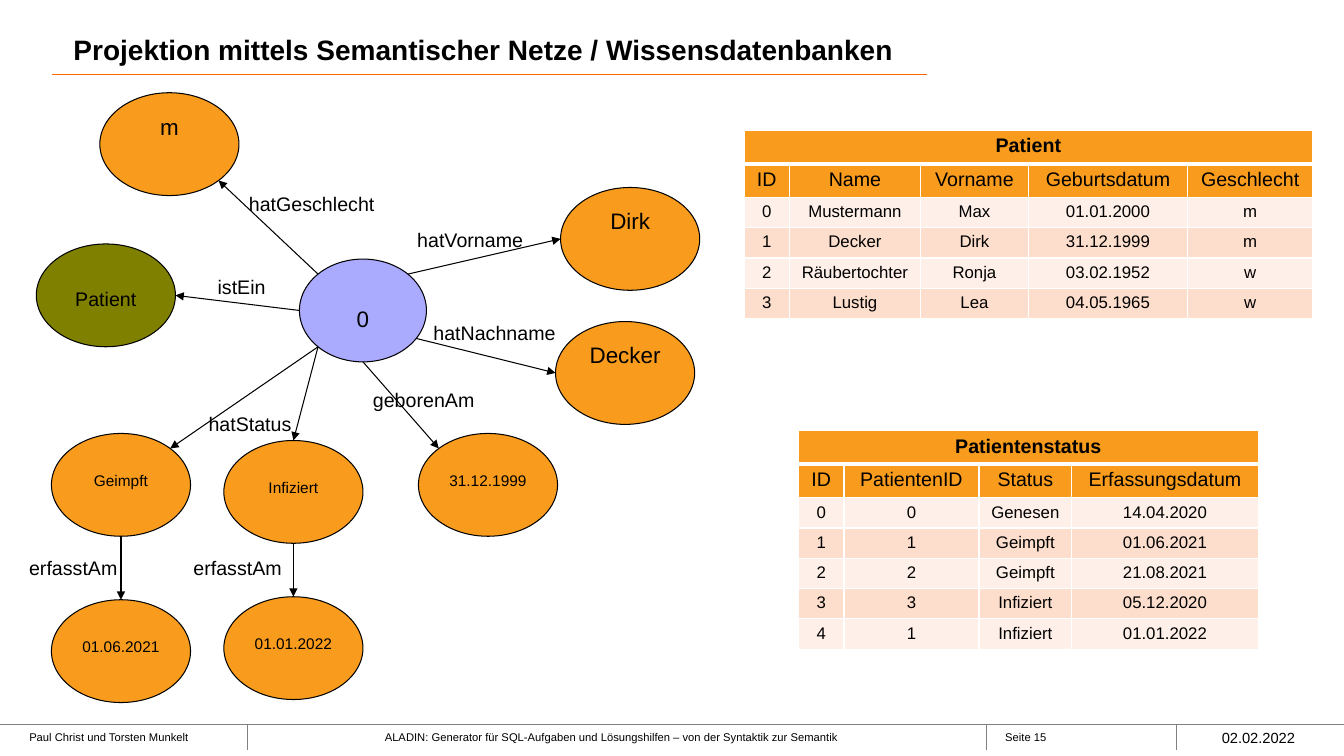
import math
from collections import namedtuple

from lxml import etree
from pptx import Presentation
from pptx import util as u
from pptx.dml.color import RGBColor
from pptx.enum import shapes, text
from pptx.oxml.ns import qn

PX = 9144  # EMU per px, 100 px to the inch
BLACK = RGBColor(0x00, 0x00, 0x00)
WHITE = RGBColor(0xFF, 0xFF, 0xFF)
GREY = RGBColor(0x80, 0x80, 0x80)
RULE = RGBColor(0xFF, 0x66, 0x00)
ORANGE = RGBColor(0xF9, 0x9B, 0x1C)
OLIVE = RGBColor(0x7F, 0x80, 0x00)
LILAC = RGBColor(0xAA, 0xAA, 0xFF)
BANDS = (RGBColor(0xFE, 0xEF, 0xE8), RGBColor(0xFD, 0xDE, 0xCD))

Box = namedtuple("Box", "left top width height")

# name: text, left, top, width, fill, size, text one line lower
NODES = {
    "center": ("0", 278, 165, 126, LILAC, 16, True),
    "first_name": ("Dirk", 537, 94, 138, ORANGE, 16, False),
    "last_name": ("Decker", 532, 227, 138, ORANGE, 16, False),
    "birth_date": ("31.12.1999", 396, 338, 138, ORANGE, 11, True),
    "class": ("Patient", 17, 150, 138, OLIVE, 14, True),
    "gender": ("m", 80, 0, 138, ORANGE, 16, False),
    "vaccinated": ("Geimpft", 32, 338, 138, ORANGE, 11, True),
    "vaccinated_on": ("01.06.2021", 32, 503, 138, ORANGE, 11, True),
    "infected": ("Infiziert", 203, 345, 138, ORANGE, 11, True),
    "infected_on": ("01.01.2022", 203, 500, 138, ORANGE, 11, True),
}
NODE_HEIGHT = 102

# start node, clockwise angle, end node, angle, label, label left, top, width
EDGES = [
    ("center", 315, "first_name", 180, "hatVorname", 385, 129, 126),
    ("center", 33, "last_name", 180, "hatNachname", 401, 221, 142),
    ("center", 90, "birth_date", 225, "geborenAm", 341, 288, 121),
    ("center", 180, "class", 0, "istEin", 187, 176, 68),
    ("center", 225, "gender", 45, "hatGeschlecht", 218, 94, 145),
    ("center", 135, "vaccinated", 315, "hatStatus", 178, 312, 103),
    ("vaccinated", 90, "vaccinated_on", 270, "erfasstAm", 0, 455, 108),
    ("center", 135, "infected", 270, None, 0, 0, 0),
    ("infected", 90, "infected_on", 270, "erfasstAm", 163, 455, 108),
]

PATIENTS = [
    ("ID", "Name", "Vorname", "Geburtsdatum", "Geschlecht"),
    ("0", "Mustermann", "Max", "01.01.2000", "m"),
    ("1", "Decker", "Dirk", "31.12.1999", "m"),
    ("2", "Räubertochter", "Ronja", "03.02.1952", "w"),
    ("3", "Lustig", "Lea", "04.05.1965", "w"),
]
STATUSES = [
    ("ID", "PatientenID", "Status", "Erfassungsdatum"),
    ("0", "0", "Genesen", "14.04.2020"),
    ("1", "1", "Geimpft", "01.06.2021"),
    ("2", "2", "Geimpft", "21.08.2021"),
    ("3", "3", "Infiziert", "05.12.2020"),
    ("4", "1", "Infiziert", "01.01.2022"),
]


def emu(*lengths):
    return [u.Emu(round(length * PX)) for length in lengths]


def write(frame, content, size, bold=False, centered=False):
    paragraph = frame.paragraphs[0]
    paragraph.text = content
    if centered:
        paragraph.alignment = text.PP_ALIGN.CENTER
    font = paragraph.runs[0].font
    for name, value in {"name": "Arial", "size": u.Pt(size), "bold": bold}.items():
        setattr(font, name, value)
    font.color.rgb = BLACK


def add_text(slide, box, content, size, insets=(10, 5, 10, 5), middle=False,
             wrap=True, **style):
    frame = slide.shapes.add_textbox(*emu(*box)).text_frame
    sides = ("margin_left", "margin_top", "margin_right", "margin_bottom")
    settings = dict(zip(sides, emu(*insets)), word_wrap=wrap)
    if middle:
        settings["vertical_anchor"] = text.MSO_ANCHOR.MIDDLE
    for name, value in settings.items():
        setattr(frame, name, value)
    write(frame, content, size, **style)


def add_line(slide, start, end, color, arrow=False):
    line = slide.shapes.add_connector(shapes.MSO_CONNECTOR.STRAIGHT, *emu(*start, *end))
    line.line.color.rgb = color
    line.line.width = u.Pt(0.75)
    if arrow:
        etree.SubElement(line.line._get_or_add_ln(), qn("a:tailEnd"), type="triangle")
    etree.SubElement(line._element.spPr, qn("a:effectLst"))


def draw_title(slide, box):
    add_line(slide, (box.left - 11, box.top + 54), (box.left + 856, box.top + 54), RULE)
    add_text(slide, box, "Projektion mittels Semantischer Netze / Wissensdatenbanken",
             20, middle=True, bold=True)


def draw_footer(slide, box):
    left, top, width, height = box
    add_line(slide, (left, top), (left + width, top), GREY)
    for divider in (245, 978, 1167):
        add_line(slide, (left + divider, top), (left + divider, top + height), GREY)
    entries = [
        (29, 181, "Paul Christ und Torsten Munkelt", False),
        (262, 699, "ALADIN: Generator für SQL-Aufgaben und Lösungshilfen – "
                   "von der Syntaktik zur Semantik", True),
        (997, 147, "Seite 15", False),
    ]
    for offset, entry_width, content, centered in entries:
        add_text(slide, Box(left + offset, top + 1, entry_width, 24), content, 8,
                 insets=(0, 5, 10, 5), centered=centered)
    add_text(slide, Box(left + 1202, top + 1, 118, 24), "02.02.2022", 10.5, middle=True)


def draw_network(slide, box):
    def rim_point(node, angle):
        _, left, top, width, *_ = NODES[node]
        turn = math.radians(angle)
        return (box.left + left + width / 2 * (1 + math.cos(turn)),
                box.top + top + NODE_HEIGHT / 2 * (1 + math.sin(turn)))

    # Nodes
    for content, left, top, width, fill, size, lowered in NODES.values():
        node = slide.shapes.add_shape(
            shapes.MSO_SHAPE.OVAL,
            *emu(box.left + left, box.top + top, width, NODE_HEIGHT))
        node.shadow.inherit = False
        node.fill.solid()
        node.fill.fore_color.rgb = fill
        node.line.color.rgb = BLACK
        node.line.width = u.Pt(0.75)
        frame = node.text_frame
        inset = 5 + (size * 1.6 if lowered else 0)
        settings = {"vertical_anchor": text.MSO_ANCHOR.TOP, "word_wrap": True,
                    "margin_left": 0, "margin_right": 0, "margin_top": emu(inset)[0]}
        for name, value in settings.items():
            setattr(frame, name, value)
        write(frame, content, size, centered=True)

    # Arrows and their labels
    for start, leaving, end, arriving, label, left, top, width in EDGES:
        add_line(slide, rim_point(start, leaving), rim_point(end, arriving), BLACK, arrow=True)
        if label:
            add_text(slide, Box(box.left + left, box.top + top, width, 34), label, 14,
                     wrap=False)


def add_borders(cell, top, bottom):
    properties = cell._tc.get_or_add_tcPr()
    for side, width in {"L": 1, "R": 1, "T": top, "B": bottom}.items():
        line = etree.SubElement(properties, qn("a:ln" + side), w=str(u.Pt(width)))
        fill = etree.SubElement(line, qn("a:solidFill"))
        etree.SubElement(fill, qn("a:srgbClr"), val=str(WHITE))


def draw_table(slide, box, title, records, column_widths, head_height, row_height):
    columns = len(column_widths)
    rows = [(title,) + ("",) * (columns - 1)] + records
    table = slide.shapes.add_table(len(rows), columns, *emu(*box)).table
    for column, width in zip(table.columns, emu(*column_widths)):
        column.width = width
    for r, values in enumerate(rows):
        table.rows[r].height = emu(head_height if r < 2 else row_height)[0]
        for c, value in enumerate(values):
            cell = table.cell(r, c)
            add_borders(cell, top=3 if r == 1 else 1, bottom=3 if r == 0 else 1)
            cell.fill.solid()
            cell.fill.fore_color.rgb = ORANGE if r < 2 else BANDS[r % 2]
            if value:
                write(cell.text_frame, value, 14 if r < 2 else 12, bold=r == 0, centered=True)
    table.cell(0, 0).merge(table.cell(0, columns - 1))


def main():
    presentation = Presentation()
    presentation.slide_width, presentation.slide_height = emu(1333, 750)
    slide = presentation.slides.add_slide(presentation.slide_layouts[6])
    draw_footer(slide, Box(0, 719, 1333, 25))
    draw_title(slide, Box(63, 20, 861, 58))
    draw_network(slide, Box(19, 92, 675, 605))
    draw_table(slide, Box(738, 129, 564, 178), "Patient", PATIENTS,
               (45, 130, 107, 158, 124), 31, 29)
    draw_table(slide, Box(792, 427, 456, 216), "Patientenstatus", STATUSES,
               (45, 134, 92, 185), 33, 30)
    presentation.save("out.pptx")


if __name__ == "__main__":
    main()
